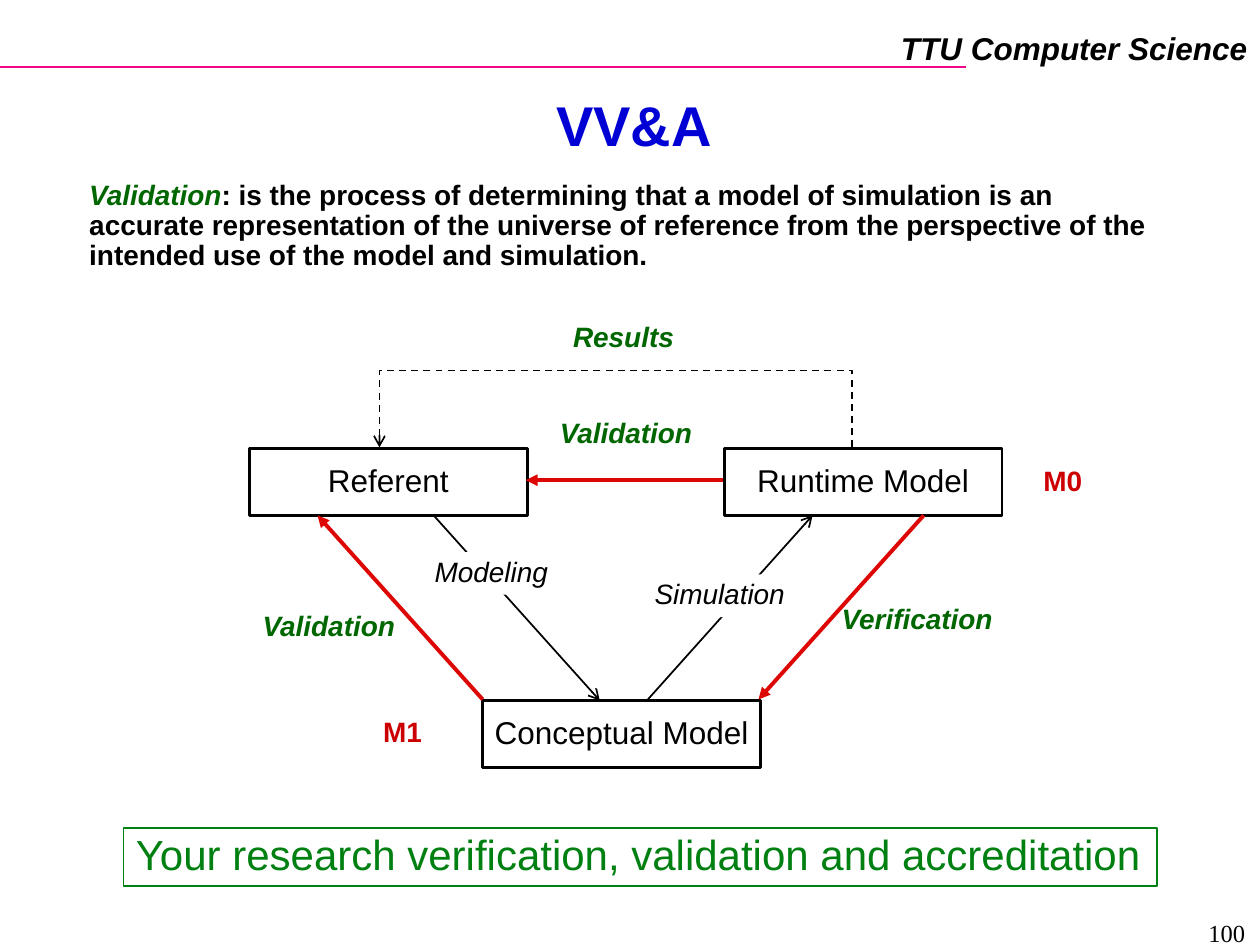
from lxml import etree
from pptx import Presentation
from pptx.dml.color import RGBColor
from pptx.enum.dml import MSO_LINE
from pptx.enum.shapes import MSO_CONNECTOR, MSO_SHAPE
from pptx.enum.text import MSO_ANCHOR, PP_ALIGN
from pptx.oxml.ns import qn
from pptx.util import Cm, Pt

LEFT, CENTER, RIGHT = PP_ALIGN.LEFT, PP_ALIGN.CENTER, PP_ALIGN.RIGHT
TOP, MIDDLE = MSO_ANCHOR.TOP, MSO_ANCHOR.MIDDLE
RECTANGLE, STRAIGHT, DASH = MSO_SHAPE.RECTANGLE, MSO_CONNECTOR.STRAIGHT, MSO_LINE.DASH

BLACK = RGBColor(0x00, 0x00, 0x00)
WHITE = RGBColor(0xFF, 0xFF, 0xFF)
PINK = RGBColor(0xF2, 0x08, 0x84)
BLUE = RGBColor(0x00, 0x00, 0xD4)
RED = RGBColor(0xDD, 0x08, 0x06)
DARK_RED = RGBColor(0xCC, 0x00, 0x00)
GREEN = RGBColor(0x00, 0x66, 0x00)
BRIGHT_GREEN = RGBColor(0x00, 0x80, 0x11)

# Text formats
HEADER = {"size": Pt(18), "bold": True, "italic": True}
TITLE = {"size": Pt(32), "bold": True, "color": BLUE}
BOX = {"size": Pt(18)}
CHECK = {"size": Pt(16), "bold": True, "italic": True, "color": GREEN}
BODY = {"size": Pt(16), "bold": True}
STEP = {"size": Pt(16), "italic": True}
LEVEL = {"size": Pt(16), "bold": True, "color": DARK_RED}
BANNER = {"size": Pt(24), "color": BRIGHT_GREEN}
NUMBER = {"size": Pt(14), "name": "Times New Roman"}


def write_text(shape, runs, alignment=CENTER, spacing=0.9, wrap=False, anchor=TOP):
    frame = shape.text_frame
    frame.word_wrap = wrap
    frame.vertical_anchor = anchor
    paragraph = frame.paragraphs[0]
    paragraph.alignment = alignment
    paragraph.line_spacing = spacing
    for text, text_format in runs:
        run = paragraph.add_run()
        run.text = text
        values = {"name": "Arial", "color": BLACK, **text_format}
        run.font.color.rgb = values.pop("color")
        for attribute, value in values.items():
            setattr(run.font, attribute, value)


def style_line(shape, color, width, arrow=None):
    shape.line.color.rgb = color
    shape.line.width = Pt(width)
    if arrow:
        etree.SubElement(shape.line._get_or_add_ln(), qn("a:tailEnd"), type=arrow)


presentation = Presentation()
presentation.slide_width = Cm(25.4)
presentation.slide_height = Cm(19.05)
slide = presentation.slides.add_slide(presentation.slide_layouts[6])
shapes = slide.shapes

# Model boxes
for text, left, top in [
    ("Referent", 5.03, 9.04),
    ("Runtime Model", 14.6, 9.04),
    ("Conceptual Model", 9.73, 14.12),
]:
    box = shapes.add_shape(RECTANGLE, Cm(left), Cm(top), Cm(5.6), Cm(1.35))
    box.shadow.inherit = False
    box.fill.background()
    style_line(box, BLACK, 1.5)
    write_text(box, [(text, BOX)], anchor=MIDDLE)

# Header rule and arrows between the boxes
for start_x, start_y, end_x, end_y, color, width, arrow in [
    (0, 1.35, 19.48, 1.35, PINK, 1, None),
    (9.73, 14.1, 6.4, 10.39, RED, 2.25, "triangle"),
    (8.76, 10.41, 12.09, 14.12, BLACK, 1, "arrow"),
    (18.62, 10.39, 15.29, 14.1, RED, 2.25, "triangle"),
    (13.06, 14.1, 16.38, 10.39, BLACK, 1, "arrow"),
    (14.58, 9.68, 10.6, 9.68, RED, 2.25, "triangle"),
]:
    connector = shapes.add_connector(
        STRAIGHT, Cm(start_x), Cm(start_y), Cm(end_x), Cm(end_y))
    style_line(connector, color, width, arrow)
    etree.SubElement(connector._element.spPr, qn("a:effectLst"))

# Dashed results path from the runtime model back to the referent
builder = shapes.build_freeform(Cm(17.17), Cm(9.02))
builder.add_line_segments(
    [(Cm(17.17), Cm(7.47)), (Cm(7.65), Cm(7.47)), (Cm(7.65), Cm(9.02))], close=False)
results_path = builder.convert_to_shape()
results_path.shadow.inherit = False
results_path.fill.background()
results_path.line.dash_style = DASH
style_line(results_path, BLACK, 1, "arrow")

# Step labels covering the thin arrows
for text, left, top, width in [
    ("Modeling", 8.51, 11.13, 2.79),
    ("Simulation", 12.95, 11.58, 3.12),
]:
    label = shapes.add_shape(RECTANGLE, Cm(left), Cm(top), Cm(width), Cm(0.86))
    label.shadow.inherit = False
    label.fill.solid()
    label.fill.fore_color.rgb = WHITE
    label.line.fill.background()
    write_text(label, [(text, STEP)], anchor=TOP)

# Check and level labels
for text, left, top, width, text_format in [
    ("Validation", 5.03, 12.22, 3.2, CHECK),
    ("Verification", 16.71, 12.07, 3.56, CHECK),
    ("Validation", 11.02, 8.33, 3.2, CHECK),
    ("Results", 11.3, 6.4, 2.54, CHECK),
    ("M1", 7.06, 14.35, 2.11, LEVEL),
    ("M0", 20.37, 9.3, 2.11, LEVEL),
]:
    label = shapes.add_textbox(Cm(left), Cm(top), Cm(width), Cm(0.86))
    write_text(label, [(text, text_format)])

# Header, title, definition and slide number
header = shapes.add_textbox(Cm(17.91), Cm(0.46), Cm(7.49), Cm(1.02))
write_text(header, [("TTU Computer Science", HEADER)], RIGHT, 1.0)

title = shapes.add_textbox(Cm(1.35), Cm(1.9), Cm(22.86), Cm(1.4))
write_text(title, [("VV&A", TITLE)], CENTER, 0.87, True, MIDDLE)

definition = shapes.add_textbox(Cm(1.55), Cm(3.53), Cm(22.38), Cm(2.08))
write_text(definition, [
    ("Validation", CHECK),
    (": is the process of determining that a model of simulation is an accurate "
     "representation of the universe of reference from the perspective of the "
     "intended use of the model and simulation.", BODY),
], LEFT, wrap=True)

number = shapes.add_textbox(Cm(19.43), Cm(18.39), Cm(5.92), Cm(0.56))
write_text(number, [("100", NUMBER)], RIGHT, 1.0, True)

# Closing banner
banner = shapes.add_shape(RECTANGLE, Cm(2.49), Cm(16.69), Cm(20.83), Cm(1.17))
banner.shadow.inherit = False
banner.fill.background()
style_line(banner, BRIGHT_GREEN, 1)
write_text(banner, [("Your research verification, validation and accreditation", BANNER)], LEFT)

presentation.save("out.pptx")
